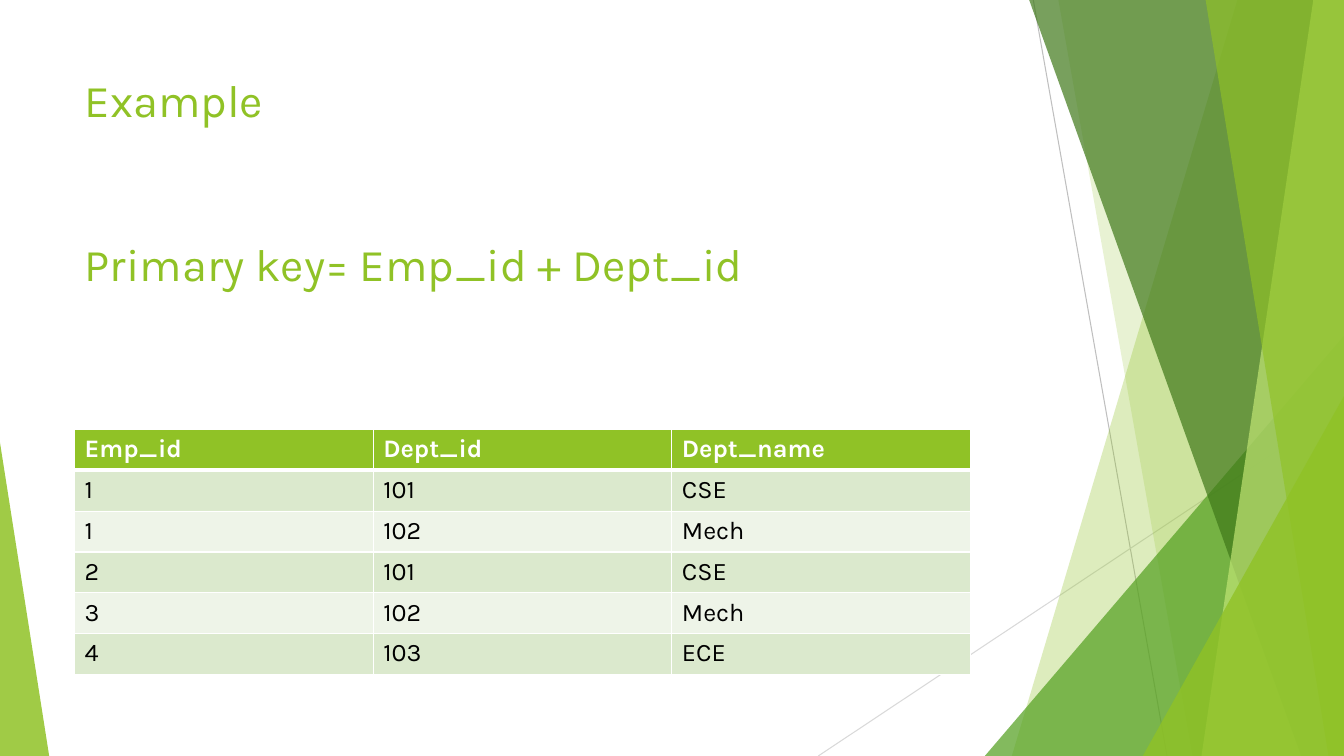
from dataclasses import dataclass

from lxml.etree import SubElement
from pptx import Presentation
from pptx.dml.color import RGBColor
from pptx.enum.shapes import MSO_CONNECTOR, MSO_SHAPE
from pptx.enum.text import MSO_ANCHOR, MSO_AUTO_SIZE, PP_ALIGN
from pptx.oxml.ns import qn
from pptx.util import Cm, Pt

COLORS = {
    "lime": "90C226", "green": "54A021", "forest": "3F7819", "pale": "C0E474",
    "band_dark": "DBE9CD", "band_light": "EEF4E8", "white": "FFFFFF",
    "black": "000000", "gray": "BFBFBF", "light_gray": "D9D9D9",
}
FONT = "Karla"
WIDTH, HEIGHT, BLEED = 33.87, 19.05, -0.02
LEFT = 1.88


@dataclass
class Ray:
    start: tuple[float, float]
    end: tuple[float, float]
    color: str


@dataclass
class Shard:
    top_x: float
    bottom_x: float
    color: str
    opacity: int


@dataclass
class Corner:
    left: float
    top: float
    width: float
    apex: float
    color: str
    opacity: int


RAYS = [
    Ray((26.04, 0), (29.41, HEIGHT), "gray"),
    Ray((WIDTH, 10.24), (20.62, HEIGHT), "light_gray"),
]
FACETS = [
    Shard(31.19, 25.5, "lime", 30),
    Shard(26.67, 30.05, "lime", 20),
    Corner(24.82, 8.46, 9.05, 1, "green", 72),
    Shard(25.93, 32.79, "forest", 70),
    Shard(33.1, 30.28, "pale", 70),
    Shard(30.38, 33.48, "lime", 65),
    Corner(28.8, 9.98, 5.07, 1, "lime", 80),
    Corner(0, 11.15, 1.24, 0, "lime", 85),
]
HEADER = ("Emp_id", "Dept_id", "Dept_name")
RECORDS = [
    ("1", "101", "CSE"),
    ("1", "102", "Mech"),
    ("2", "101", "CSE"),
    ("3", "102", "Mech"),
    ("4", "103", "ECE"),
]


def rgb(name: str) -> RGBColor:
    return RGBColor.from_string(COLORS[name])


def write(paragraph, text: str, *, size: float, color: str,
          bold: bool = False, before: float = 0) -> None:
    paragraph.alignment = PP_ALIGN.LEFT
    paragraph.space_before = Pt(before)
    run = paragraph.add_run()
    run.text = text
    run.font.name = FONT
    run.font.size = Pt(size)
    run.font.bold = bold
    run.font.color.rgb = rgb(color)


def draw_ray(slide, ray: Ray) -> None:
    points = [Cm(value) for value in (*ray.start, *ray.end)]
    connector = slide.shapes.add_connector(MSO_CONNECTOR.STRAIGHT, *points)
    connector.line.color.rgb = rgb(ray.color)
    connector.line.width = Pt(0.75)
    SubElement(connector.element.spPr, qn("a:effectLst"))


def draw_facet(slide, facet: Shard | Corner) -> None:
    if isinstance(facet, Shard):
        builder = slide.shapes.build_freeform(Cm(facet.top_x), Cm(BLEED))
        outline = [(WIDTH, BLEED), (WIDTH, HEIGHT), (facet.bottom_x, HEIGHT)]
        builder.add_line_segments([(Cm(x), Cm(y)) for x, y in outline], close=True)
        shape = builder.convert_to_shape()
    else:
        shape = slide.shapes.add_shape(
            MSO_SHAPE.ISOSCELES_TRIANGLE, Cm(facet.left), Cm(facet.top),
            Cm(facet.width), Cm(HEIGHT - facet.top))
        shape.adjustments[0] = facet.apex
    shape.shadow.inherit = False
    shape.line.fill.background()
    shape.fill.solid()
    shape.fill.fore_color.rgb = rgb(facet.color)
    color = shape.element.spPr.find(qn("a:solidFill"))[0]
    SubElement(color, qn("a:alpha"), val=str(facet.opacity * 1000))


def place_title(slide) -> None:
    title = slide.shapes.title
    slide.shapes.element.append(title.element)
    title.left, title.top = Cm(LEFT), Cm(1.7)
    title.width, title.height = Cm(23.88), Cm(3.66)
    frame = title.text_frame
    frame.word_wrap = True
    frame.auto_size = MSO_AUTO_SIZE.NONE
    frame.vertical_anchor = MSO_ANCHOR.TOP
    write(frame.paragraphs[0], "Example", size=32.4, color="lime")
    write(frame.add_paragraph(), "Primary key= Emp_id + Dept_id",
          size=32.4, color="lime", before=78)


def set_borders(cell, widths: dict[str, float]) -> None:
    properties = cell._tc.get_or_add_tcPr()
    for position, (side, width) in enumerate(widths.items()):
        border = SubElement(properties, qn(f"a:{side}"), w=str(Pt(width)))
        fill = SubElement(border, qn("a:solidFill"))
        SubElement(fill, qn("a:srgbClr"), val=COLORS["white"])
        properties.insert(position, border)


def draw_table(slide) -> None:
    rows = [HEADER, *RECORDS]
    table = slide.shapes.add_table(
        len(rows), len(HEADER), Cm(LEFT), Cm(10.82), Cm(22.58), Cm(6.18)).table
    for row_index, row in enumerate(rows):
        is_header = row_index == 0
        band = "band_dark" if row_index % 2 else "band_light"
        top = 3 if row_index == 1 else 1
        bottom = 3 if is_header else 1
        for column_index, text in enumerate(row):
            cell = table.cell(row_index, column_index)
            cell.fill.solid()
            cell.fill.fore_color.rgb = rgb("lime" if is_header else band)
            set_borders(cell, {"lnL": 1, "lnR": 1, "lnT": top, "lnB": bottom})
            write(cell.text_frame.paragraphs[0], text, size=18, bold=is_header,
                  color="white" if is_header else "black")


presentation = Presentation()
presentation.slide_width, presentation.slide_height = Cm(WIDTH), Cm(HEIGHT)
slide = presentation.slides.add_slide(presentation.slide_layouts[5])
for ray in RAYS:
    draw_ray(slide, ray)
for facet in FACETS:
    draw_facet(slide, facet)
place_title(slide)
draw_table(slide)
presentation.save("out.pptx")
